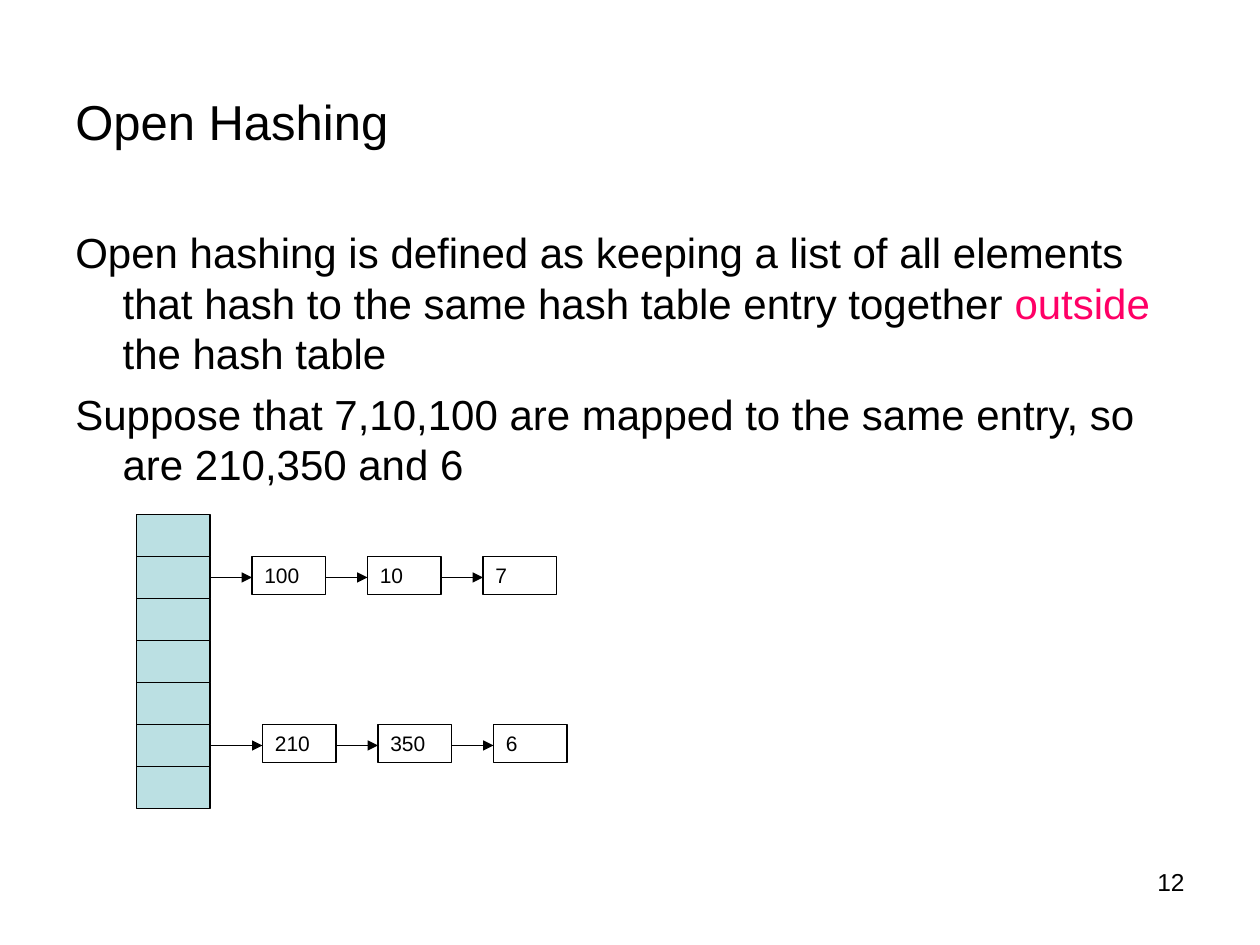
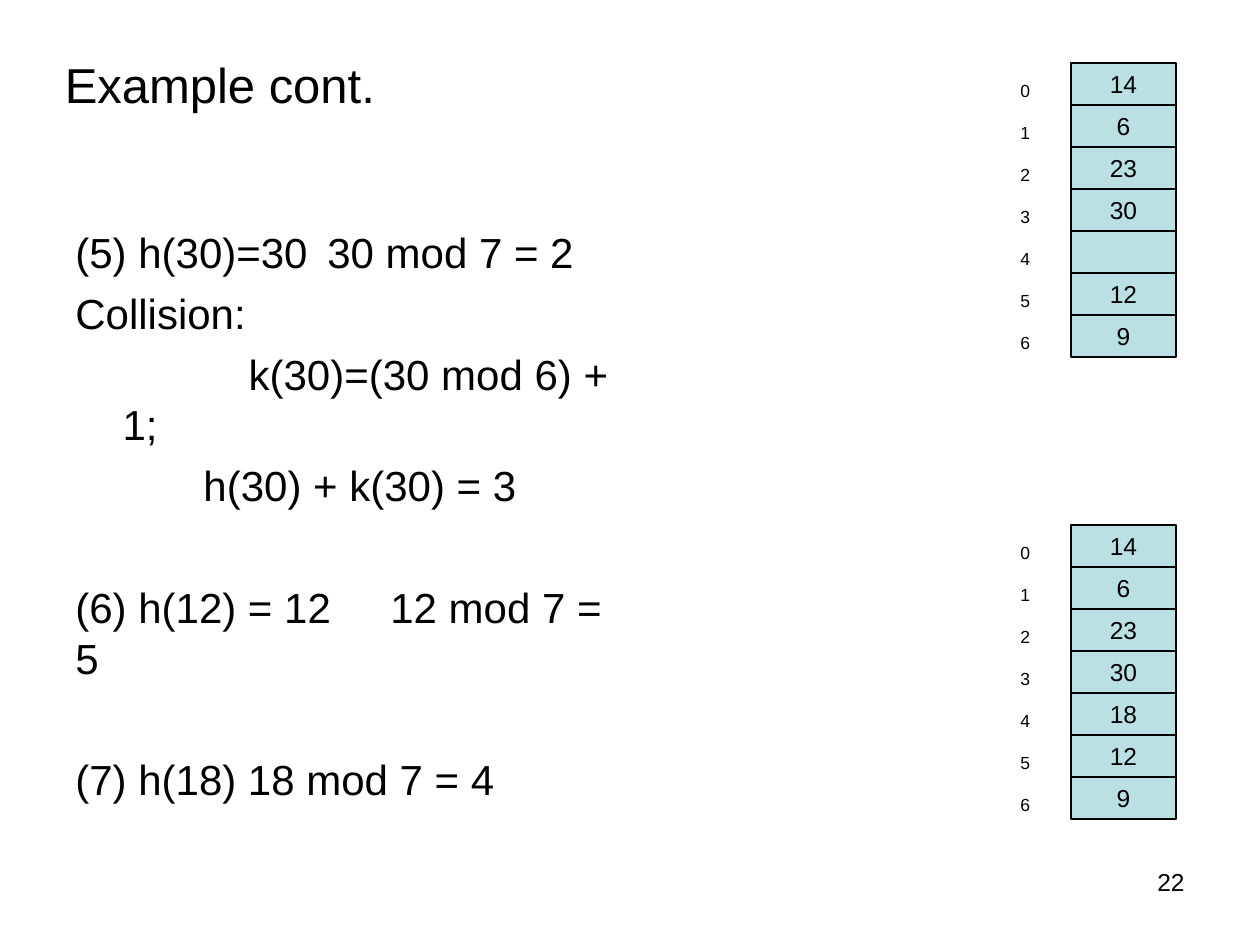
from lxml import etree
from pptx import Presentation
from pptx import util as u
from pptx.dml.color import RGBColor
from pptx.enum import shapes, text
from pptx.oxml.ns import qn

PX = 7620  # 120 px to the inch
FONT = "Arial"
BLACK, WHITE, PINK, TABLE_BLUE = "000000", "FFFFFF", "FF0066", "BBE0E3"
TITLE_SIZE, BODY_SIZE, NUMBER_SIZE, NODE_SIZE, INDEX_SIZE = 28, 24, 14, 12, 10
BODY_LEADING, BODY_GAP, SECTION_GAP = 28.8, 6, 40.8
HANG = 45
ROW_HEIGHT = 40
NODE_WIDTH, NODE_HEIGHT, NODE_PITCH = 70, 36, 110
LEFT, CENTER, RIGHT = text.PP_ALIGN.LEFT, text.PP_ALIGN.CENTER, text.PP_ALIGN.RIGHT
TOP, MIDDLE = text.MSO_ANCHOR.TOP, text.MSO_ANCHOR.MIDDLE


def px(*lengths):
    return [u.Emu(length * PX) for length in lengths]


def color(hex_string):
    return RGBColor.from_string(hex_string)


def add_run(paragraph, words, size, ink=BLACK):
    run = paragraph.add_run()
    run.text = words
    run.font.name = FONT
    run.font.size = u.Pt(size)
    run.font.color.rgb = color(ink)


def set_frame(frame, anchor=TOP, wrap=True):
    frame.word_wrap = wrap
    frame.vertical_anchor = anchor
    return frame


def add_label(slide, box, words, size, align=LEFT, anchor=TOP):
    frame = set_frame(slide.shapes.add_textbox(*px(*box)).text_frame, anchor)
    frame.paragraphs[0].alignment = align
    add_run(frame.paragraphs[0], words, size)


def add_cell(slide, box, fill, words="", size=NUMBER_SIZE, align=CENTER,
             anchor=MIDDLE, wrap=False):
    cell = slide.shapes.add_shape(shapes.MSO_SHAPE.RECTANGLE, *px(*box))
    cell.shadow.inherit = False
    cell.fill.solid()
    cell.fill.fore_color.rgb = color(fill)
    cell.line.color.rgb = color(BLACK)
    cell.line.width = u.Pt(0.75)
    if words:
        paragraph = set_frame(cell.text_frame, anchor, wrap).paragraphs[0]
        paragraph.alignment = align
        add_run(paragraph, words, size)


def add_arrow(slide, start_x, end_x, y):
    arrow = slide.shapes.add_connector(
        shapes.MSO_CONNECTOR.STRAIGHT, *px(start_x, y, end_x, y))
    arrow.line.color.rgb = color(BLACK)
    arrow.line.width = u.Pt(0.75)
    etree.SubElement(arrow.line._get_or_add_ln(), qn("a:tailEnd"), type="triangle")
    etree.SubElement(arrow._element.spPr, qn("a:effectLst"))


def add_body(slide, box, lines):
    """Each line is (runs, space before, left margin, first indent, tab stop)."""
    frame = set_frame(slide.shapes.add_textbox(*px(*box)).text_frame)
    for number, (runs, gap, margin, indent, tab) in enumerate(lines):
        paragraph = frame.add_paragraph() if number else frame.paragraphs[0]
        paragraph.line_spacing = u.Pt(BODY_LEADING)
        paragraph.space_before = u.Pt(gap if number else 0)
        properties = paragraph._p.get_or_add_pPr()
        properties.set("marL", str(margin * PX))
        properties.set("indent", str(indent * PX))
        if tab:
            tabs = etree.SubElement(properties, qn("a:tabLst"))
            etree.SubElement(tabs, qn("a:tab"), pos=str(tab * PX), algn="l")
        for words, ink in runs:
            add_run(paragraph, words, BODY_SIZE, ink)


def add_hash_table(slide, left, top, width, entries):
    for row, entry in enumerate(entries):
        add_cell(slide, (left, top + row * ROW_HEIGHT, width, ROW_HEIGHT),
                 TABLE_BLUE, entry)


def add_indexed_table(slide, left, top, entries):
    add_hash_table(slide, left + 60, top, 100, entries)
    for row in range(len(entries)):
        add_label(slide, (left, top + 10 + row * ROW_HEIGHT, 40, 32),
                  str(row), INDEX_SIZE)


def add_chain(slide, table_edge, first_left, top, keys):
    """Linked list that starts at the right edge of a hash table row."""
    arrow_start = table_edge
    for position, key in enumerate(keys):
        left = first_left + position * NODE_PITCH
        add_arrow(slide, arrow_start, left, top + ROW_HEIGHT // 2)
        add_cell(slide, (left, top, NODE_WIDTH, NODE_HEIGHT), WHITE, key,
                 NODE_SIZE, LEFT, TOP, True)
        arrow_start = left + NODE_WIDTH


def start_slide(deck, title, title_box, page_number):
    slide = deck.slides.add_slide(deck.slide_layouts[6])
    add_label(slide, (860, 820, 280, 62), page_number, NUMBER_SIZE, RIGHT)
    add_label(slide, title_box, title, TITLE_SIZE, anchor=MIDDLE)
    return slide


def open_hashing_slide(deck):
    slide = start_slide(deck, "Open Hashing", (60, 40, 1080, 150), "12")
    definition = [
        ("Open hashing is defined as keeping a list of all elements that hash "
         "to the same hash table entry together ", BLACK),
        ("outside ", PINK),
        ("the hash table", BLACK),
    ]
    supposition = [("Suppose that 7,10,100 are mapped to the same entry, so are "
                    "210,350 and 6", BLACK)]
    add_body(slide, (60, 210, 1080, 270),
             [(runs, BODY_GAP, HANG, -HANG, None)
              for runs in (definition, supposition)])

    left, top, width = 130, 490, 70
    add_hash_table(slide, left, top, width, [""] * 7)
    chains = [(1, 240, ("100", "10", "7")), (5, 250, ("210", "350", "6"))]
    for row, first_left, keys in chains:
        add_chain(slide, left + width, first_left, top + row * ROW_HEIGHT, keys)


def double_hashing_slide(deck):
    slide = start_slide(deck, "Example cont.", (50, 30, 1080, 100), "22")
    steps = [
        ("(5) h(30)=30\t30 mod 7 = 2", BODY_GAP, 0, 0, 265),
        ("Collision:", BODY_GAP, HANG, -HANG, None),
        ("k(30)=(30 mod 6) + 1;", BODY_GAP, HANG, 120, None),
        ("h(30) + k(30) = 3", BODY_GAP, HANG, 77, None),
        ("(6) h(12) = 12\t12 mod 7 = 5", SECTION_GAP, 0, 0, 288),
        ("(7) h(18) 18 mod 7 = 4", SECTION_GAP, HANG, -HANG, None),
    ]
    add_body(slide, (60, 210, 550, 594),
             [([(words, BLACK)], *layout) for words, *layout in steps])

    for top, fourth_entry in ((60, ""), (500, "18")):
        add_indexed_table(slide, 960, top,
                          ["14", "6", "23", "30", fourth_entry, "12", "9"])


def main():
    deck = Presentation()
    deck.slide_width, deck.slide_height = px(1200, 900)
    open_hashing_slide(deck)
    double_hashing_slide(deck)
    deck.save("out.pptx")


if __name__ == "__main__":
    main()
